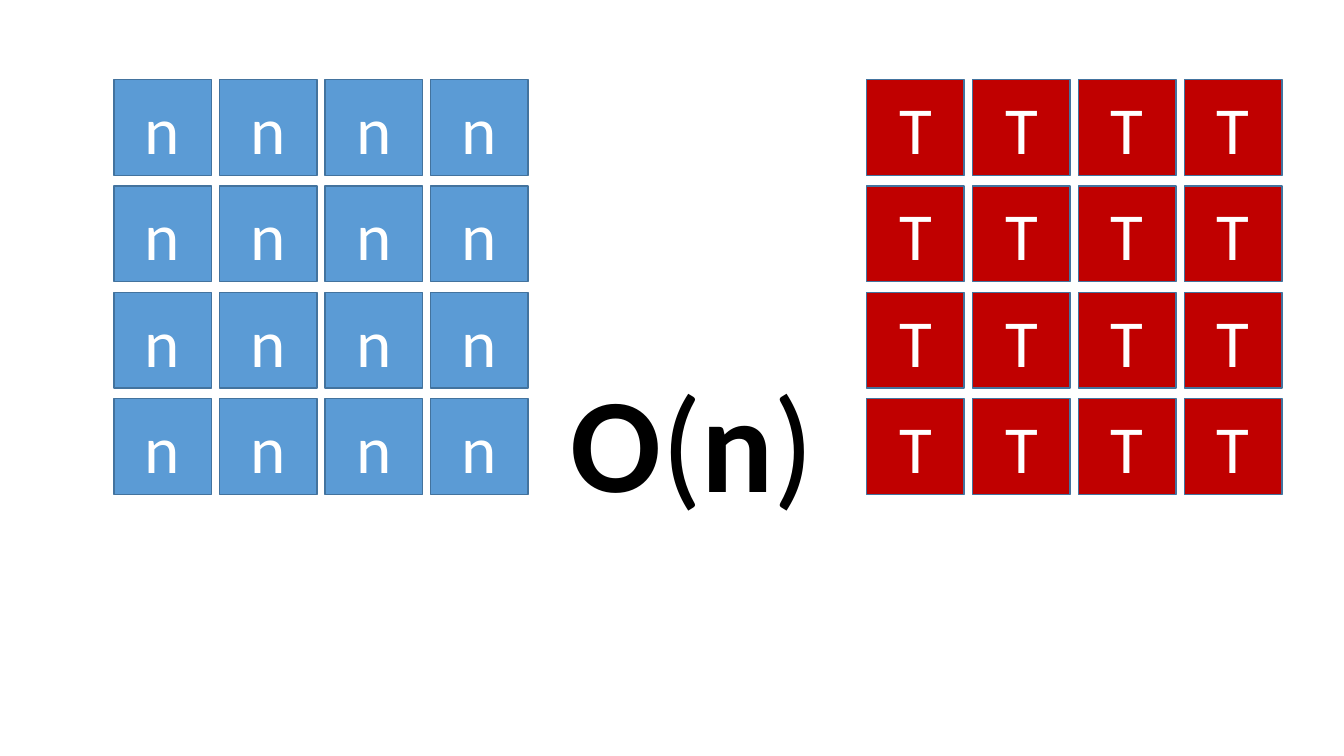
import pptx
import pptx.dml.color
import pptx.enum.shapes
import pptx.enum.text
import pptx.util
from pptx.util import Cm


def color(hex_string):
    return pptx.dml.color.RGBColor.from_string(hex_string)


class SlideBuilder:
    """Draws lettered grids and labels on one slide in a shared style."""

    font = "Calibri"
    outline = "43739E"
    cell_width, cell_height = 2.46, 2.41
    row_pitch = 2.68
    grid_size = 4

    def __init__(self, slide):
        self.slide = slide

    def add_run(self, paragraph, text, size, hex_color, bold=False):
        run = paragraph.add_run()
        run.text = text
        run.font.name = self.font
        run.font.size = pptx.util.Pt(size)
        run.font.bold = bold
        run.font.color.rgb = color(hex_color)

    def cell(self, left, top, letter, fill):
        square = self.slide.shapes.add_shape(
            pptx.enum.shapes.MSO_SHAPE.RECTANGLE,
            Cm(left), Cm(top), Cm(self.cell_width), Cm(self.cell_height))
        square.shadow.inherit = False
        square.fill.solid()
        square.fill.fore_color.rgb = color(fill)
        square.line.color.rgb = color(self.outline)
        square.line.width = pptx.util.Pt(1)
        square.text_frame.vertical_anchor = pptx.enum.text.MSO_ANCHOR.MIDDLE
        paragraph = square.text_frame.paragraphs[0]
        paragraph.alignment = pptx.enum.text.PP_ALIGN.CENTER
        self.add_run(paragraph, letter, 48, "FFFFFF")

    def grid(self, left, top, column_pitch, letter, fill):
        for row in range(self.grid_size):
            for column in range(self.grid_size):
                self.cell(left + column * column_pitch,
                          top + row * self.row_pitch, letter, fill)

    def label(self, left, top, width, height, runs):
        box = self.slide.shapes.add_textbox(
            Cm(left), Cm(top), Cm(width), Cm(height))
        box.text_frame.word_wrap = False
        box.text_frame.auto_size = pptx.enum.text.MSO_AUTO_SIZE.SHAPE_TO_FIT_TEXT
        for text, bold in runs:
            self.add_run(box.text_frame.paragraphs[0], text, 96, "000000", bold)


def main():
    presentation = pptx.Presentation()
    presentation.slide_width = Cm(33.87)
    presentation.slide_height = Cm(19.05)
    builder = SlideBuilder(
        presentation.slides.add_slide(presentation.slide_layouts[6]))
    builder.grid(2.87, 2.01, 2.66, "n", "5B9BD5")
    builder.grid(21.84, 2.01, 2.67, "T", "C00000")
    builder.label(14.12, 8.89, 6.73, 4.37,
                  [("O", True), ("(", False), ("n", True), (")", False)])
    presentation.save("out.pptx")


if __name__ == "__main__":
    main()
